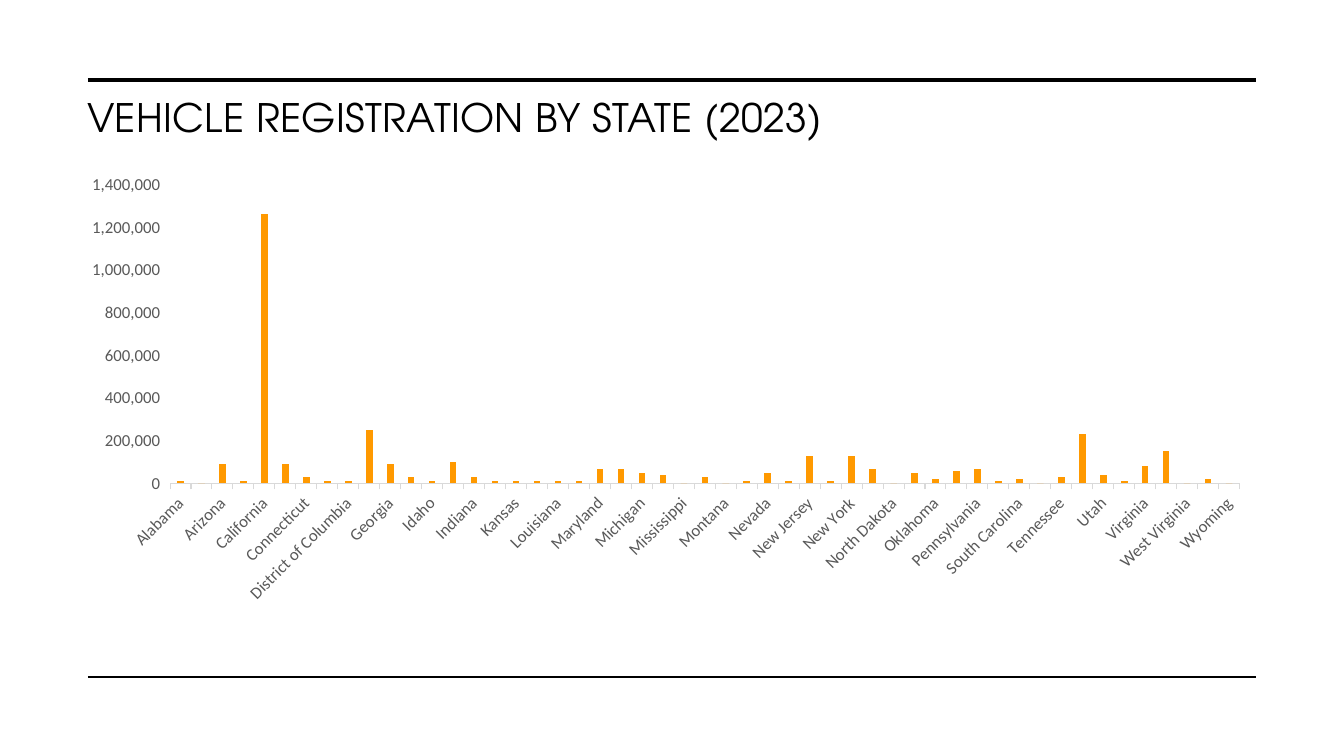
import pptx
import pptx.chart.data
import pptx.dml.color
import pptx.enum.chart
import pptx.enum.shapes
import pptx.enum.text
import pptx.oxml
import pptx.util

PX = 9071
SLIDE_SIZE = (1344, 756)
TITLE = "VEHICLE REGISTRATION BY STATE (2023)"
TITLE_BOX = (77, 88, 1134, 47)
CHART_BOX = (77, 173, 1178, 505)
RULE_LEFT, RULE_RIGHT = 88, 1256
RULES = [(80, 3.5), (677, 1)]
PLOT = {"x": 0.079, "y": 0.023, "w": 0.908, "h": 0.592}
REGISTRATIONS = {
    "Alabama": 10000, "Alaska": 0, "Arizona": 90000, "Arkansas": 10000,
    "California": 1260000, "Colorado": 90000, "Connecticut": 30000,
    "Delaware": 10000, "District of Columbia": 10000, "Florida": 250000,
    "Georgia": 90000, "Hawaii": 30000, "Idaho": 10000, "Illinois": 100000,
    "Indiana": 30000, "Iowa": 10000, "Kansas": 10000, "Kentucky": 10000,
    "Louisiana": 10000, "Maine": 10000, "Maryland": 70000,
    "Massachusetts": 70000, "Michigan": 50000, "Minnesota": 40000,
    "Mississippi": 0, "Missouri": 30000, "Montana": 0, "Nebraska": 10000,
    "Nevada": 50000, "New Hampshire": 10000, "New Jersey": 130000,
    "New Mexico": 10000, "New York": 130000, "North Carolina": 70000,
    "North Dakota": 0, "Ohio": 50000, "Oklahoma": 20000, "Oregon": 60000,
    "Pennsylvania": 70000, "Rhode Island": 10000, "South Carolina": 20000,
    "South Dakota": 0, "Tennessee": 30000, "Texas": 230000, "Utah": 40000,
    "Vermont": 10000, "Virginia": 80000, "Washington": 150000,
    "West Virginia": 0, "Wisconsin": 20000, "Wyoming": 0,
}


def emu(*lengths):
    return [length * PX for length in lengths]


def color(hex_value):
    return pptx.dml.color.RGBColor.from_string(hex_value)


def style_font(font, name, size, hex_value):
    font.name = name
    font.size = pptx.util.Pt(size)
    font.bold = False
    font.color.rgb = color(hex_value)


def add_rule(slide, y, weight):
    rule = slide.shapes.add_connector(
        pptx.enum.shapes.MSO_CONNECTOR.STRAIGHT, *emu(RULE_LEFT, y, RULE_RIGHT, y))
    rule.line.color.rgb = color("000000")
    rule.line.width = pptx.util.Pt(weight)
    rule._element.spPr.append(pptx.oxml.parse_xml(
        '<a:effectLst xmlns:a="http://schemas.openxmlformats.org/drawingml/2006/main"/>'))


def add_title(slide):
    title = slide.shapes.title
    title.left, title.top, title.width, title.height = emu(*TITLE_BOX)
    frame = title.text_frame
    frame.text = TITLE
    frame.word_wrap = True
    frame.auto_size = pptx.enum.text.MSO_AUTO_SIZE.NONE
    frame.vertical_anchor = pptx.enum.text.MSO_ANCHOR.TOP
    paragraph = frame.paragraphs[0]
    paragraph.alignment = pptx.enum.text.PP_ALIGN.LEFT
    paragraph.line_spacing = 1.0
    style_font(paragraph.font, "TeX Gyre Adventor", 28, "000000")
    paragraph.font._element.set("spc", "30")


def set_plot_layout(chart):
    plot_area = chart._chartSpace.chart.plotArea
    for layout in plot_area.findall(pptx.oxml.ns.qn("c:layout")):
        plot_area.remove(layout)
    sizes = "".join(f'<c:{key} val="{value}"/>' for key, value in PLOT.items())
    plot_area.insert(0, pptx.oxml.parse_xml(
        '<c:layout xmlns:c="http://schemas.openxmlformats.org/drawingml/2006/chart">'
        '<c:manualLayout><c:layoutTarget val="inner"/>'
        '<c:xMode val="edge"/><c:yMode val="edge"/>'
        f'{sizes}</c:manualLayout></c:layout>'))


def add_registration_chart(slide):
    data = pptx.chart.data.CategoryChartData(number_format="#,##0")
    data.categories = list(REGISTRATIONS)
    data.add_series("Series 1", list(REGISTRATIONS.values()))
    chart = slide.shapes.add_chart(
        pptx.enum.chart.XL_CHART_TYPE.COLUMN_CLUSTERED, *emu(*CHART_BOX), data).chart
    chart.has_legend = False
    chart.has_title = False
    style_font(chart.font, "Calibri", 10, "000000")

    plot = chart.plots[0]
    plot.gap_width = 219
    plot.overlap = -27
    plot.vary_by_categories = False
    fill = plot.series[0].format.fill
    fill.solid()
    fill.fore_color.rgb = color("FF9900")

    states, counts = chart.category_axis, chart.value_axis
    for axis in (states, counts):
        axis.has_major_gridlines = False
        axis.major_tick_mark = pptx.enum.chart.XL_TICK_MARK.OUTSIDE
        style_font(axis.tick_labels.font, "Calibri", 12, "595959")
    states.format.line.color.rgb = color("D9D9D9")
    states.format.line.width = pptx.util.Pt(0.75)
    states._element.txPr.bodyPr.set("rot", "-60000000")
    counts.format.line.fill.background()
    counts.minimum_scale = 0
    counts.maximum_scale = 1400000
    counts.major_unit = 200000
    counts.tick_labels.number_format = "#,##0"
    counts.tick_labels.number_format_is_linked = False
    set_plot_layout(chart)


def main():
    presentation = pptx.Presentation()
    presentation.slide_width, presentation.slide_height = emu(*SLIDE_SIZE)
    slide = presentation.slides.add_slide(presentation.slide_layouts[5])
    for y, weight in RULES:
        add_rule(slide, y, weight)
    add_title(slide)
    add_registration_chart(slide)
    presentation.save("out.pptx")


if __name__ == "__main__":
    main()
